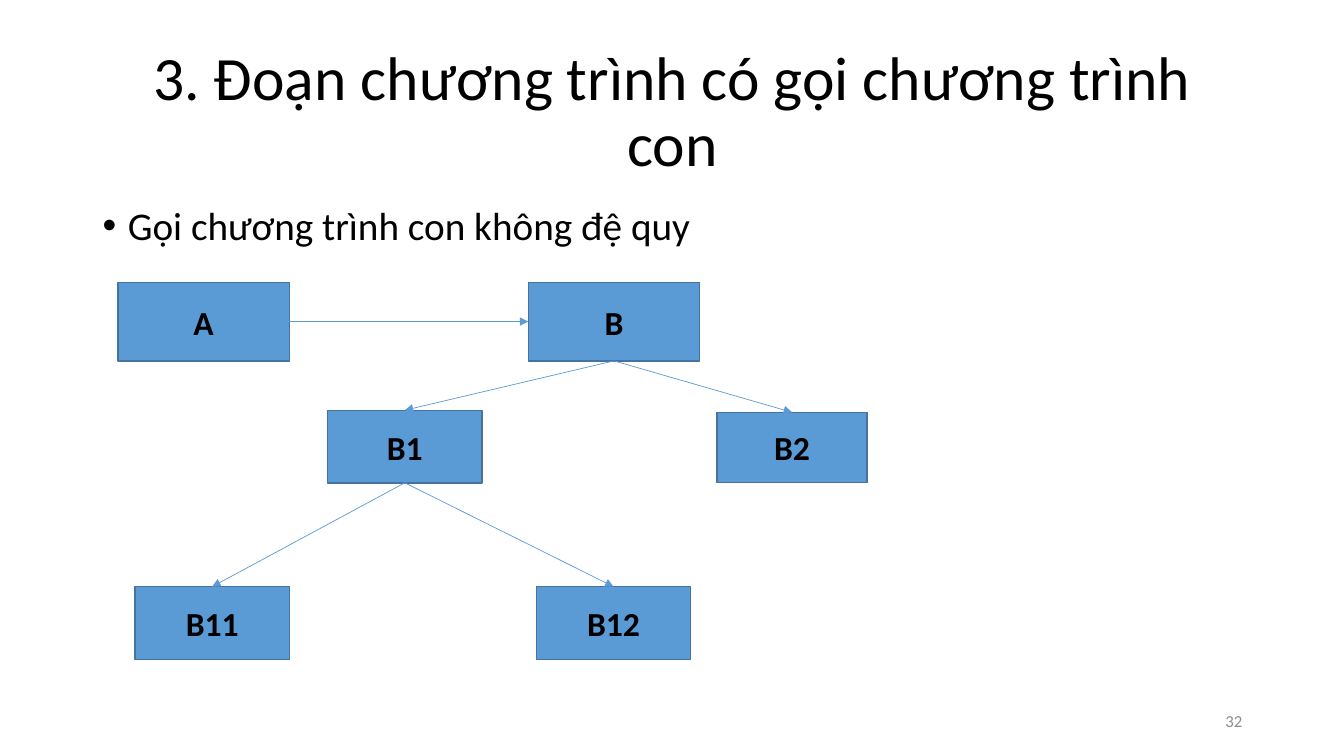
from lxml import etree
from pptx import Presentation
from pptx import util as u
from pptx.dml.color import RGBColor
from pptx.enum import shapes, text
from pptx.oxml import ns

BLACK = RGBColor(0x00, 0x00, 0x00)
GREY = RGBColor(0x8C, 0x8C, 0x8C)
BLUE = RGBColor(0x5B, 0x9B, 0xD5)
DARK_BLUE = RGBColor(0x43, 0x73, 0x9E)

TOP, LEFT, BOTTOM, RIGHT = range(4)

# name: left, top, width, height
BOXES = {
    "B": (5.24, 2.8, 1.7, 0.78),
    "B1": (3.25, 4.07, 1.53, 0.72),
    "B2": (7.11, 4.09, 1.49, 0.7),
    "A": (1.17, 2.8, 1.7, 0.78),
    "B11": (1.34, 5.82, 1.53, 0.72),
    "B12": (5.32, 5.82, 1.53, 0.72),
}
CALLS = [
    ("A", RIGHT, "B", LEFT),
    ("B", BOTTOM, "B1", TOP),
    ("B", BOTTOM, "B2", TOP),
    ("B1", BOTTOM, "B11", TOP),
    ("B1", BOTTOM, "B12", TOP),
]


class CallDiagram:
    font = "Calibri"

    def __init__(self, prs):
        self.s = prs.slides.add_slide(prs.slide_layouts[5])

    def set_text(self, sp, words, size, color=BLACK, bold=False,
                 anchor=text.MSO_ANCHOR.MIDDLE, **para_format):
        tf = sp.text_frame
        frame_format = {"word_wrap": True, "auto_size": text.MSO_AUTO_SIZE.NONE,
                        "vertical_anchor": anchor}
        for name, value in frame_format.items():
            setattr(tf, name, value)
        p = tf.paragraphs[0]
        for name, value in para_format.items():
            setattr(p, name, value)
        r = p.add_run()
        r.text = words
        for name, value in {"name": self.font, "size": u.Pt(size), "bold": bold}.items():
            setattr(r.font, name, value)
        r.font.color.rgb = color
        return p

    def title(self, words, *area):
        sp = self.s.shapes.title
        for name, value in zip(("left", "top", "width", "height"), area):
            setattr(sp, name, u.Inches(value))
        self.set_text(sp, words, 44, alignment=text.PP_ALIGN.CENTER, line_spacing=0.9)

    def textbox(self, words, size, *area, **style):
        sp = self.s.shapes.add_textbox(*map(u.Inches, area))
        return self.set_text(sp, words, size, **style)

    def bullet(self, words, *area):
        p = self.textbox(words, 28, *area, anchor=text.MSO_ANCHOR.TOP,
                         line_spacing=0.9, space_before=u.Pt(10))
        pPr = p._p.get_or_add_pPr()
        pPr.set("marL", str(u.Inches(0.25)))
        pPr.set("indent", str(-u.Inches(0.25)))
        etree.SubElement(pPr, ns.qn("a:buFont"), typeface="Arial")
        etree.SubElement(pPr, ns.qn("a:buChar"), char="•")

    def box(self, name, *area):
        sp = self.s.shapes.add_shape(shapes.MSO_SHAPE.RECTANGLE, *map(u.Inches, area))
        sp.shadow.inherit = False
        sp.fill.solid()
        sp.fill.fore_color.rgb = BLUE
        sp.line.color.rgb = DARK_BLUE
        sp.line.width = u.Pt(1)
        self.set_text(sp, name, 24, bold=True, alignment=text.PP_ALIGN.CENTER)
        return sp

    def arrow(self, start, start_side, end, end_side):
        c = self.s.shapes.add_connector(shapes.MSO_CONNECTOR.STRAIGHT, 0, 0, 0, 0)
        c.begin_connect(start, start_side)
        c.end_connect(end, end_side)
        c.line.color.rgb = BLUE
        c.line.width = u.Pt(0.5)
        etree.SubElement(c.line._get_or_add_ln(), ns.qn("a:tailEnd"), type="triangle")
        etree.SubElement(c._element.spPr, ns.qn("a:effectLst"))


def main():
    prs = Presentation()
    prs.slide_width, prs.slide_height = u.Inches(13.33), u.Inches(7.5)
    diagram = CallDiagram(prs)
    diagram.title("3. Đoạn chương trình có gọi chương trình con", 0.92, 0.4, 11.5, 1.45)
    diagram.bullet("Gọi chương trình con không đệ quy", 0.92, 2, 11.5, 4.76)
    boxes = {name: diagram.box(name, *area) for name, area in BOXES.items()}
    for start, start_side, end, end_side in CALLS:
        diagram.arrow(boxes[start], start_side, boxes[end], end_side)
    diagram.textbox("32", 12, 9.42, 6.95, 3, 0.4, color=GREY,
                    alignment=text.PP_ALIGN.RIGHT)
    prs.save("out.pptx")


if __name__ == "__main__":
    main()
